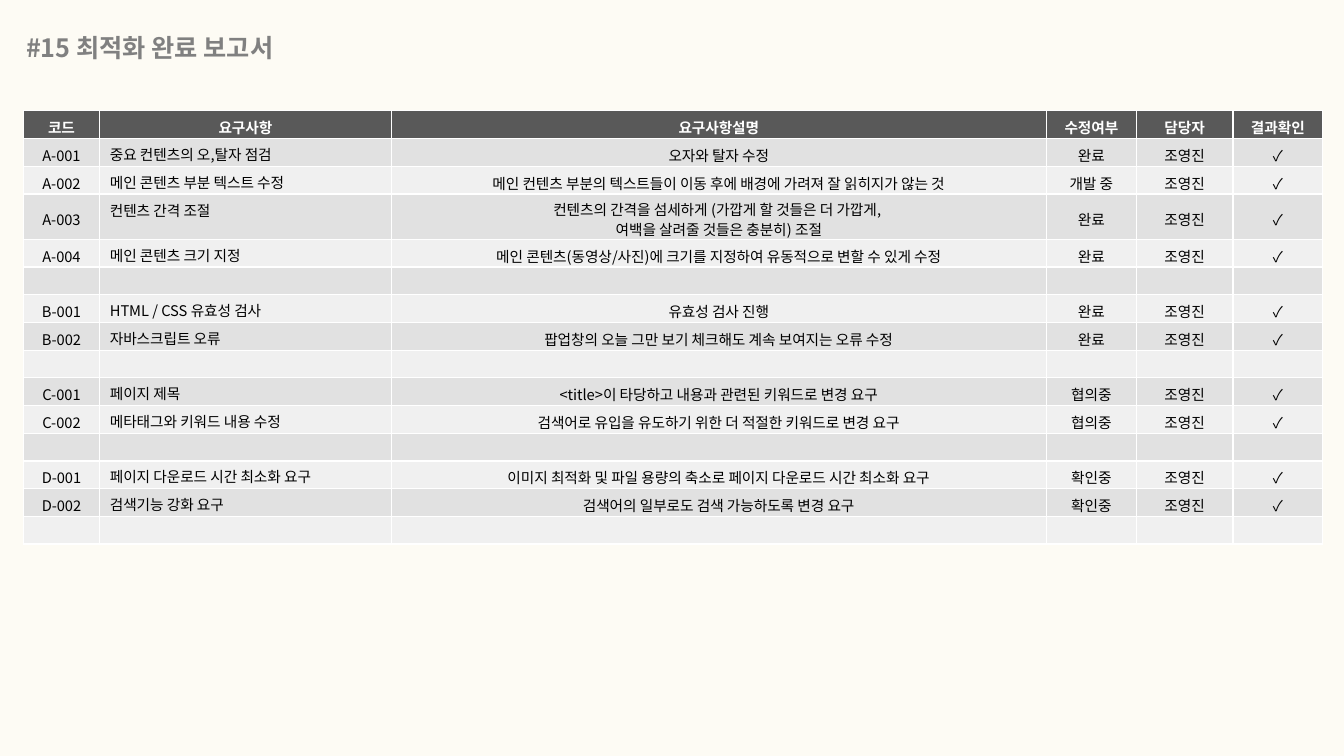
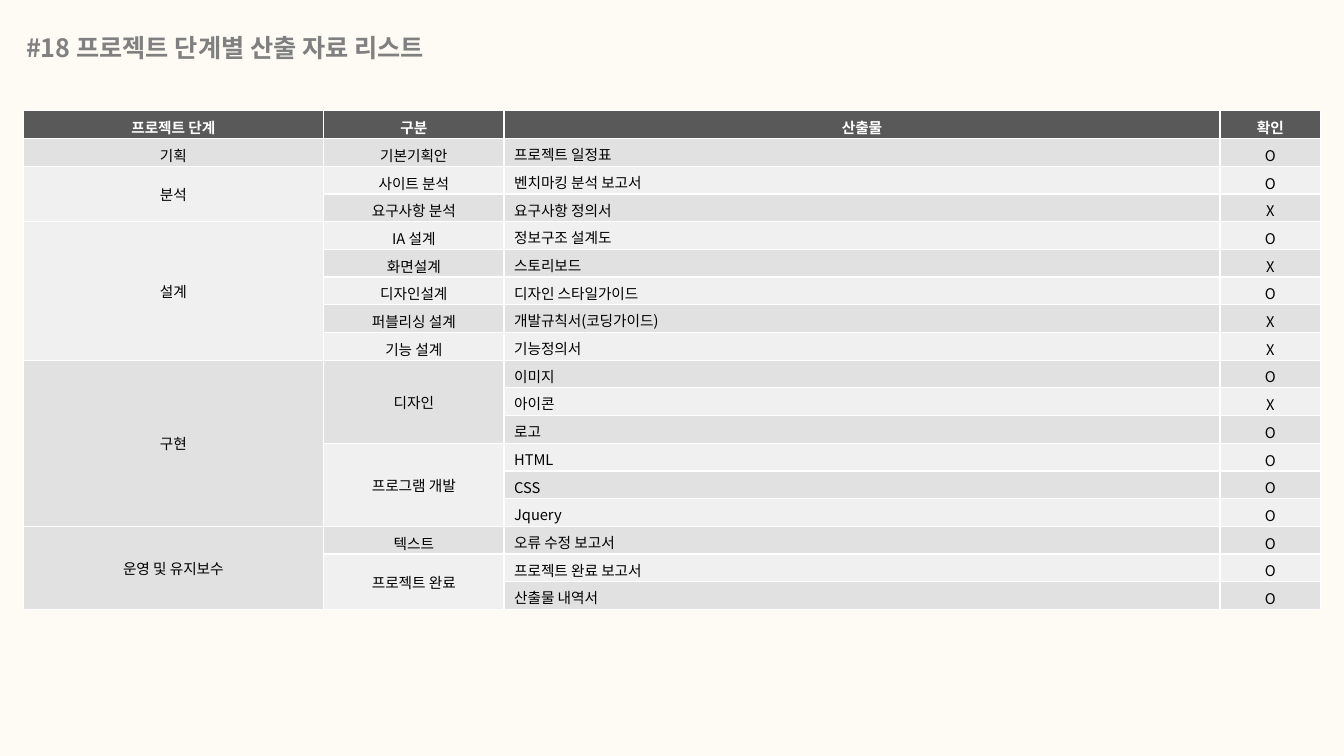
from pptx import Presentation, util as u
from pptx.dml.color import RGBColor
from pptx.enum import text as t
from pptx.oxml.ns import qn
from lxml import etree

CREAM = RGBColor(0xFD, 0xFB, 0xF4)
WHITE = RGBColor(0xFF, 0xFF, 0xFF)
BLACK = RGBColor(0, 0, 0)
GRAY = RGBColor(0x80, 0x80, 0x80)
HEAD = RGBColor(0x59, 0x59, 0x59)
BANDS = [RGBColor(0xF0, 0xF0, 0xF0), RGBColor(0xE1, 0xE1, 0xE1)]
FONT = "Noto Sans CJK KR"
ROW = 0.275
TALL = 0.45
LEFT, TOP = 0.23, 1.1

OWNER, TICK = "조영진", "✓"
GAP = ("",) * 6
TASKS = [
    ("코드", "요구사항", "요구사항설명", "수정여부", "담당자", "결과확인"),
    ("A-001", "중요 컨텐츠의 오,탈자 점검", "오자와 탈자 수정", "완료", OWNER, TICK),
    ("A-002", "메인 콘텐츠 부분 텍스트 수정",
     "메인 컨텐츠 부분의 텍스트들이 이동 후에 배경에 가려져 잘 읽히지가 않는 것",
     "개발 중", OWNER, TICK),
    ("A-003", "컨텐츠 간격 조절",
     "컨텐츠의 간격을 섬세하게 (가깝게 할 것들은 더 가깝게, \n여백을 살려줄 것들은 충분히) 조절",
     "완료", OWNER, TICK),
    ("A-004", "메인 콘텐츠 크기 지정",
     "메인 콘텐츠(동영상/사진)에 크기를 지정하여 유동적으로 변할 수 있게 수정",
     "완료", OWNER, TICK),
    GAP,
    ("B-001", "HTML / CSS 유효성 검사", "유효성 검사 진행", "완료", OWNER, TICK),
    ("B-002", "자바스크립트 오류",
     "팝업창의 오늘 그만 보기 체크해도 계속 보여지는 오류 수정", "완료", OWNER, TICK),
    GAP,
    ("C-001", "페이지 제목",
     "<title>이 타당하고 내용과 관련된 키워드로 변경 요구", "협의중", OWNER, TICK),
    ("C-002", "메타태그와 키워드 내용 수정",
     "검색어로 유입을 유도하기 위한 더 적절한 키워드로 변경 요구", "협의중", OWNER, TICK),
    GAP,
    ("D-001", "페이지 다운로드 시간 최소화 요구",
     "이미지 최적화 및 파일 용량의 축소로 페이지 다운로드 시간 최소화 요구",
     "확인중", OWNER, TICK),
    ("D-002", "검색기능 강화 요구",
     "검색어의 일부로도 검색 가능하도록 변경 요구", "확인중", OWNER, TICK),
    GAP,
]

# None continues the cell above
FILES = [
    ("프로젝트 단계", "구분", "산출물", "확인"),
    ("기획", "기본기획안", "프로젝트 일정표", "O"),
    ("분석", "사이트 분석", "벤치마킹 분석 보고서", "O"),
    (None, "요구사항 분석", "요구사항 정의서", "X"),
    ("설계", "IA 설계", "정보구조 설계도", "O"),
    (None, "화면설계", "스토리보드", "X"),
    (None, "디자인설계", "디자인 스타일가이드", "O"),
    (None, "퍼블리싱 설계", "개발규칙서(코딩가이드)", "X"),
    (None, "기능 설계", "기능정의서", "X"),
    ("구현", "디자인", "이미지", "O"),
    (None, None, "아이콘", "X"),
    (None, None, "로고", "O"),
    (None, "프로그램 개발", "HTML", "O"),
    (None, None, "CSS", "O"),
    (None, None, "Jquery", "O"),
    ("운영 및 유지보수", "텍스트", "오류 수정 보고서", "O"),
    (None, "프로젝트 완료", "프로젝트 완료 보고서", "O"),
    (None, None, "산출물 내역서", "O"),
]

# title, title width, column widths, left-aligned column, rows
PAGES = [
    ("#15 최적화 완료 보고서", 2.93, (0.76, 2.89, 6.5, 0.89, 0.96, 0.89), 1, TASKS),
    ("#18 프로젝트 단계별 산출 자료 리스트", 4.63, (2.98, 1.79, 7.1, 1), 2, FILES),
]


def write(frame, words, size=10.5, color=BLACK, bold=False, align=t.PP_ALIGN.CENTER):
    """Fill a text frame, one paragraph for each line of words."""
    lines = words.split("\n")
    for i, line in enumerate(lines):
        para = frame.add_paragraph() if i else frame.paragraphs[0]
        para.alignment = align
        if len(lines) > 1:
            para.line_spacing = 0.94
        if not line:
            end = etree.SubElement(para._p, qn("a:endParaRPr"))
            end.set("sz", str(int(size * 100)))
            continue
        run = para.add_run()
        run.text = line
        run.font.size = u.Pt(size)
        run.font.bold = bold
        run.font.color.rgb = color
        run.font.name = FONT
        etree.SubElement(run.font._element, qn("a:ea")).set("typeface", FONT)


deck = Presentation()
deck.slide_width, deck.slide_height = u.Inches(13.33), u.Inches(7.5)
back = deck.slide_master.background.fill
back.solid()
back.fore_color.rgb = CREAM

for title, wide, cols, left, rows in PAGES:
    slide = deck.slides.add_slide(deck.slide_layouts[6])
    box = slide.shapes.add_textbox(
        u.Inches(0.16), u.Inches(0.27), u.Inches(wide), u.Inches(0.4))
    box.text_frame.word_wrap = False
    box.text_frame.auto_size = t.MSO_AUTO_SIZE.SHAPE_TO_FIT_TEXT
    write(box.text_frame, title, size=18, color=GRAY, bold=True, align=t.PP_ALIGN.LEFT)

    highs = [TALL if any("\n" in (word or "") for word in row) else ROW for row in rows]
    grid = slide.shapes.add_table(
        len(rows), len(cols), u.Inches(LEFT), u.Inches(TOP),
        u.Inches(sum(cols)), u.Inches(sum(highs))).table
    for c, width in enumerate(cols):
        grid.columns[c].width = u.Inches(width)
    for r, row in enumerate(rows):
        grid.rows[r].height = u.Inches(highs[r])
        for c, word in enumerate(row):
            cell = grid.cell(r, c)
            cell.margin_top, cell.margin_bottom = u.Inches(0.05), 0
            cell.fill.solid()
            cell.fill.fore_color.rgb = BANDS[r % 2] if r else HEAD
            side = r > 0 and c == left
            cell.vertical_anchor = t.MSO_ANCHOR.TOP if side else t.MSO_ANCHOR.MIDDLE
            write(cell.text_frame, word or "", color=BLACK if r else WHITE, bold=r == 0,
                  align=t.PP_ALIGN.LEFT if side else t.PP_ALIGN.CENTER)
            if word is None:
                continue
            last = r
            while last + 1 < len(rows) and rows[last + 1][c] is None:
                last += 1
            if last > r:
                cell.margin_bottom = u.Inches(0.05)
                cell.merge(grid.cell(last, c))

deck.save("out.pptx")
